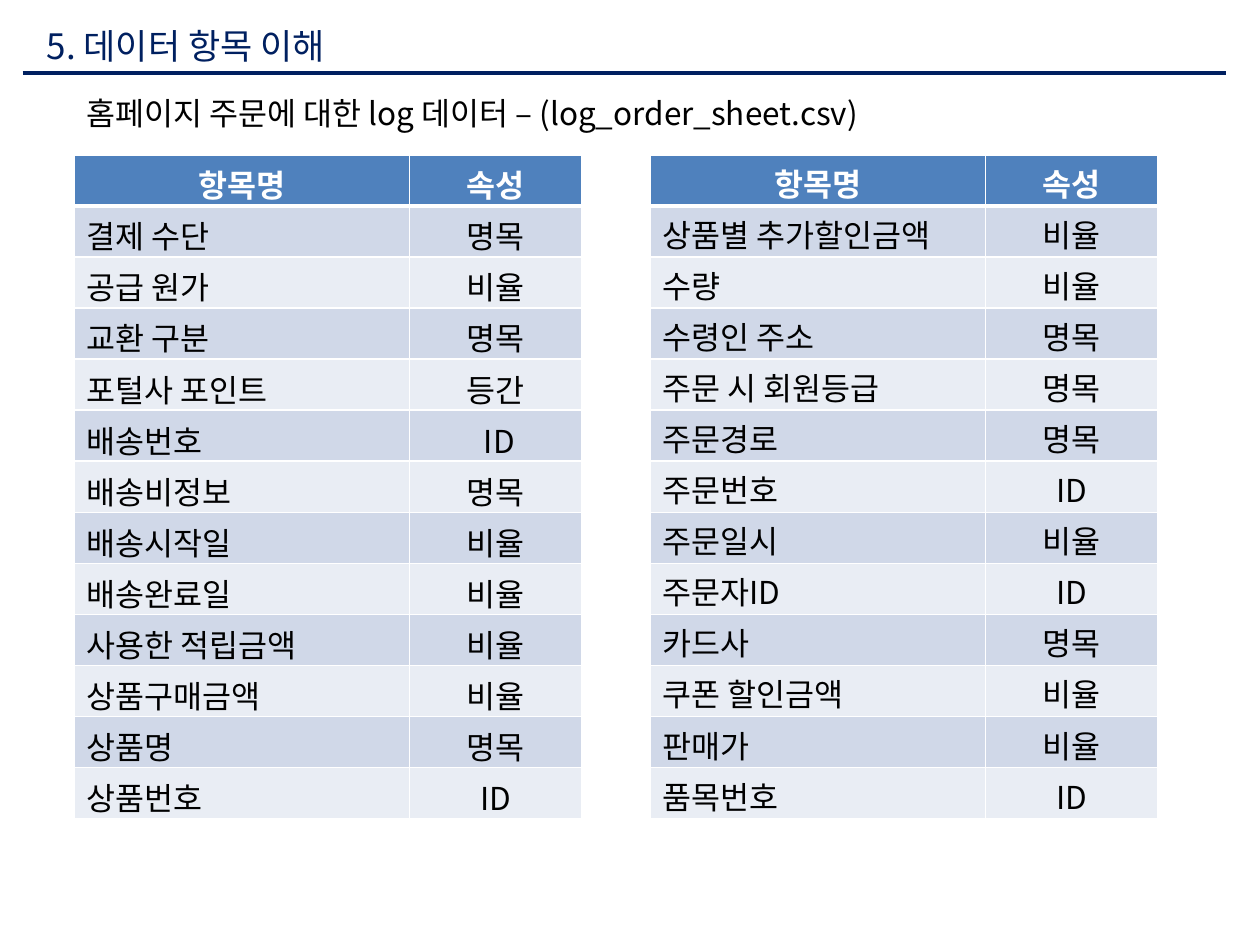
"""Build the slide that lists the order log fields and their scales."""
from lxml.etree import SubElement
from pptx import Presentation
from pptx.dml.color import RGBColor
from pptx.enum.shapes import MSO_CONNECTOR as Link
from pptx.enum.text import MSO_ANCHOR as Anchor, MSO_AUTO_SIZE as Fit, PP_ALIGN as Align
from pptx.oxml.ns import qn
from pptx.util import Inches, Pt

TITLE = "5. 데이터 항목 이해"
INTRO = "홈페이지 주문에 대한 log 데이터 – (log_order_sheet.csv)"
HEAD = ("항목명", "속성")
LEFT = [
    ("결제 수단", "명목"), ("공급 원가", "비율"), ("교환 구분", "명목"),
    ("포털사 포인트", "등간"), ("배송번호", " ID"), ("배송비정보", "명목"),
    ("배송시작일", "비율"), ("배송완료일", "비율"), ("사용한 적립금액", "비율"),
    ("상품구매금액", "비율"), ("상품명", "명목"), ("상품번호", "ID"),
]
RIGHT = [
    ("상품별 추가할인금액", "비율"), ("수량", "비율"), ("수령인 주소", "명목"),
    ("주문 시 회원등급", "명목"), ("주문경로", "명목"), ("주문번호", "ID"),
    ("주문일시", "비율"), ("주문자ID", "ID"), ("카드사", "명목"),
    ("쿠폰 할인금액", "비율"), ("판매가", "비율"), ("품목번호", "ID"),
]
TABLES = [
    {"x": 0.59, "rows": LEFT, "pad": (0.05, 0.05)},
    {"x": 5.16, "rows": RIGHT, "pad": (0.04, 0)},
]
WIDTHS = (2.66, 1.37)
TOP, HIGH = 1.23, 5.27

FONT = "Noto Sans CJK KR"
NAVY = RGBColor(0x00, 0x20, 0x60)
BLUE = RGBColor(0x4F, 0x81, 0xBD)
BANDS = (RGBColor(0xE9, 0xED, 0xF4), RGBColor(0xD0, 0xD8, 0xE8))
BLACK = RGBColor(0, 0, 0)
WHITE = RGBColor(0xFF, 0xFF, 0xFF)


def write(frame, text, color, size=18, bold=False, align=Align.LEFT):
    para = frame.paragraphs[0]
    para.alignment = align
    run = para.add_run()
    run.text = text
    font = run.font
    font.name, font.size, font.bold = FONT, Pt(size), bold
    font.color.rgb = color
    SubElement(font._element, qn("a:ea"), typeface=FONT)


def edge(cell, row):
    props = cell._tc.get_or_add_tcPr()
    wide = {"lnT": 3 if row == 1 else 1, "lnB": 3 if row == 0 else 1}
    for side in ("lnL", "lnR", "lnT", "lnB"):
        line = SubElement(props, qn("a:" + side), w=str(Pt(wide.get(side, 1))))
        fill = SubElement(line, qn("a:solidFill"))
        SubElement(fill, qn("a:srgbClr"), val=str(WHITE))


def add_grid(slide, x, rows, pad):
    data = [HEAD] + rows
    grid = slide.shapes.add_table(
        len(data), len(HEAD), Inches(x), Inches(TOP), Inches(sum(WIDTHS)), Inches(HIGH)
    ).table
    for col, width in zip(grid.columns, WIDTHS):
        col.width = Inches(width)
    for r, record in enumerate(data):
        for c, text in enumerate(record):
            cell = grid.cell(r, c)
            cell.margin_top, cell.margin_bottom = map(Inches, pad)
            edge(cell, r)
            cell.fill.solid()
            cell.fill.fore_color.rgb = BANDS[r % 2] if r else BLUE
            write(cell.text_frame, text, BLACK if r else WHITE, bold=r == 0,
                  align=Align.LEFT if r and c == 0 else Align.CENTER)


def main():
    deck = Presentation()
    deck.slide_width, deck.slide_height = Inches(10), Inches(7.5)
    slide = deck.slides.add_slide(deck.slide_layouts[5])

    title = slide.shapes.title
    title.left, title.top = Inches(0.27), Inches(0.15)
    title.width, title.height = Inches(7.85), Inches(0.43)
    title.text_frame.auto_size = Fit.NONE
    title.text_frame.vertical_anchor = Anchor.MIDDLE
    write(title.text_frame, TITLE, NAVY, size=20)

    rule = slide.shapes.add_connector(
        Link.STRAIGHT, Inches(0.18), Inches(0.58), Inches(9.73), Inches(0.58))
    rule.line.color.rgb = NAVY
    rule.line.width = Pt(2.25)
    SubElement(rule._element.spPr, qn("a:effectLst"))

    intro = slide.shapes.add_textbox(Inches(0.59), Inches(0.7), Inches(7.53), Inches(0.4))
    intro.text_frame.word_wrap = True
    intro.text_frame.auto_size = Fit.SHAPE_TO_FIT_TEXT
    write(intro.text_frame, INTRO, BLACK)

    for item in TABLES:
        add_grid(slide, **item)
    deck.save("out.pptx")


if __name__ == "__main__":
    main()
